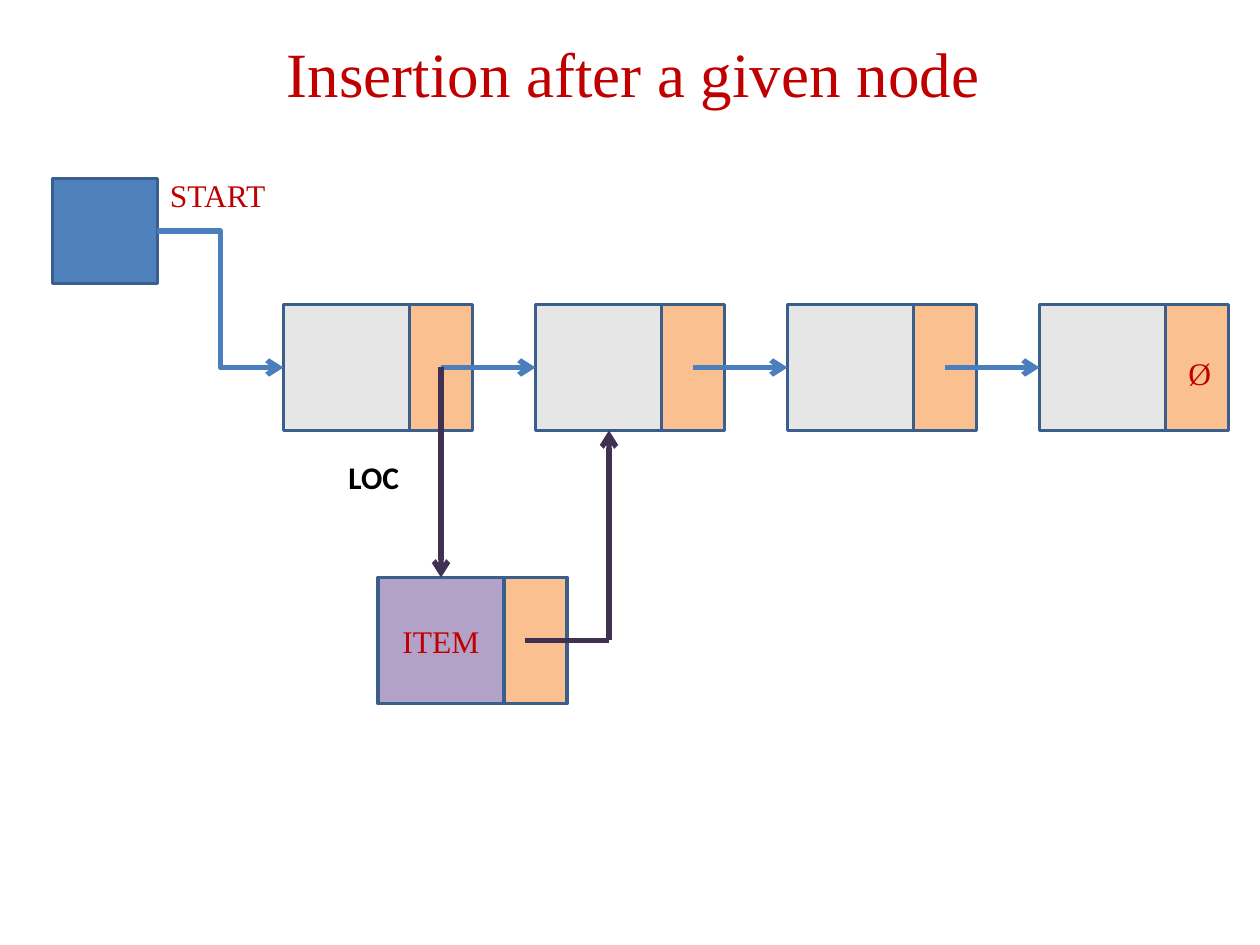
from pptx import Presentation
from pptx.dml.color import RGBColor
from pptx.enum.shapes import MSO_CONNECTOR as Conn, MSO_SHAPE as Shape
from pptx.enum.text import MSO_ANCHOR as Anchor, PP_ALIGN as Align
from pptx.oxml.ns import qn
from pptx.util import Inches, Pt
from lxml.etree import SubElement

rgb = RGBColor.from_string
deck = Presentation()
deck.slide_width, deck.slide_height = Inches(10), Inches(7.5)
slide = deck.slides.add_slide(deck.slide_layouts[6])
shapes = slide.shapes
unit = deck.slide_width // 120  # grid of 120 columns and 90 rows

BLUE, DARK, RED = "4B7EBC", "403152", "C00000"
GREY, PEACH = "E6E6E6", "FAC090"
TIMES = "Times New Roman"


def box(col, row, wide, high, fill):
    rect = shapes.add_shape(Shape.RECTANGLE, *(n * unit for n in (col, row, wide, high)))
    rect.shadow.inherit = False
    rect.fill.solid()
    rect.fill.fore_color.rgb = rgb(fill)
    rect.line.color.rgb = rgb("3A5F8C")
    rect.line.width = Pt(2)
    return rect


def link(start, end, color, kind=Conn.STRAIGHT, arrow=True):
    """Draw a connector between two (column, row) points."""
    wire = shapes.add_connector(kind, *(n * unit for n in start + end))
    wire.line.color.rgb = rgb(color)
    wire.line.width = Pt(3)
    props = wire._element.spPr
    if arrow:
        SubElement(props.find(qn("a:ln")), qn("a:tailEnd"), type="arrow")
    SubElement(props, qn("a:effectLst"))
    return wire


# List nodes: a data cell and a pointer cell each
start = box(5, 17, 10, 10, "4F81BD")
cols = [27 + 24 * i for i in range(4)]
nodes = []
for col in cols:
    nodes.append(box(col, 29, 12, 12, GREY))
    box(col + 12, 29, 6, 12, PEACH)

# Links along the list
wire = link((15, 22), (27, 35), BLUE, Conn.ELBOW)
wire.begin_connect(start, 3)
wire.end_connect(nodes[0], 1)
for col, node in zip(cols, nodes[1:]):
    link((col + 15, 35), (col + 24, 35), BLUE).end_connect(node, 1)

# New node and its links
item = box(36, 55, 12, 12, "B3A2C7")
box(48, 55, 6, 12, PEACH)
link((42, 35), (42, 55), DARK).end_connect(item, 0)
link((58, 61), (58, 41), DARK)
link((50, 61), (58, 61), DARK, arrow=False)

# Wording: text, place, wrap, size, font, colour, bold, alignment, anchor
labels = [
    ("Insertion after a given node", (6.6, 0, 107.4, 13.8), True, 36, TIMES, RED, False, Align.CENTER, Anchor.MIDDLE),
    ("Ø", (112, 33.1, 4.6, 4.8), False, 18, TIMES, RED, False, Align.LEFT, Anchor.TOP),
    ("START", (15, 16.2, 11.6, 4.8), False, 18, TIMES, RED, False, Align.LEFT, Anchor.TOP),
    ("ITEM", None, True, 18, TIMES, RED, False, Align.CENTER, Anchor.MIDDLE),
    ("LOC", (32, 43, 9, 4.8), True, 18, "Calibri", "000000", True, Align.LEFT, Anchor.TOP),
]
for text, place, wrap, size, face, color, bold, align, anchor in labels:
    host = shapes.add_textbox(*(int(n * unit) for n in place)) if place else item
    frame = host.text_frame
    frame.text = text
    frame.word_wrap = wrap
    frame.vertical_anchor = anchor
    line = frame.paragraphs[0]
    line.alignment = align
    font = line.runs[0].font
    font.size, font.name, font.bold = Pt(size), face, bold
    font.color.rgb = rgb(color)

deck.save("out.pptx")
